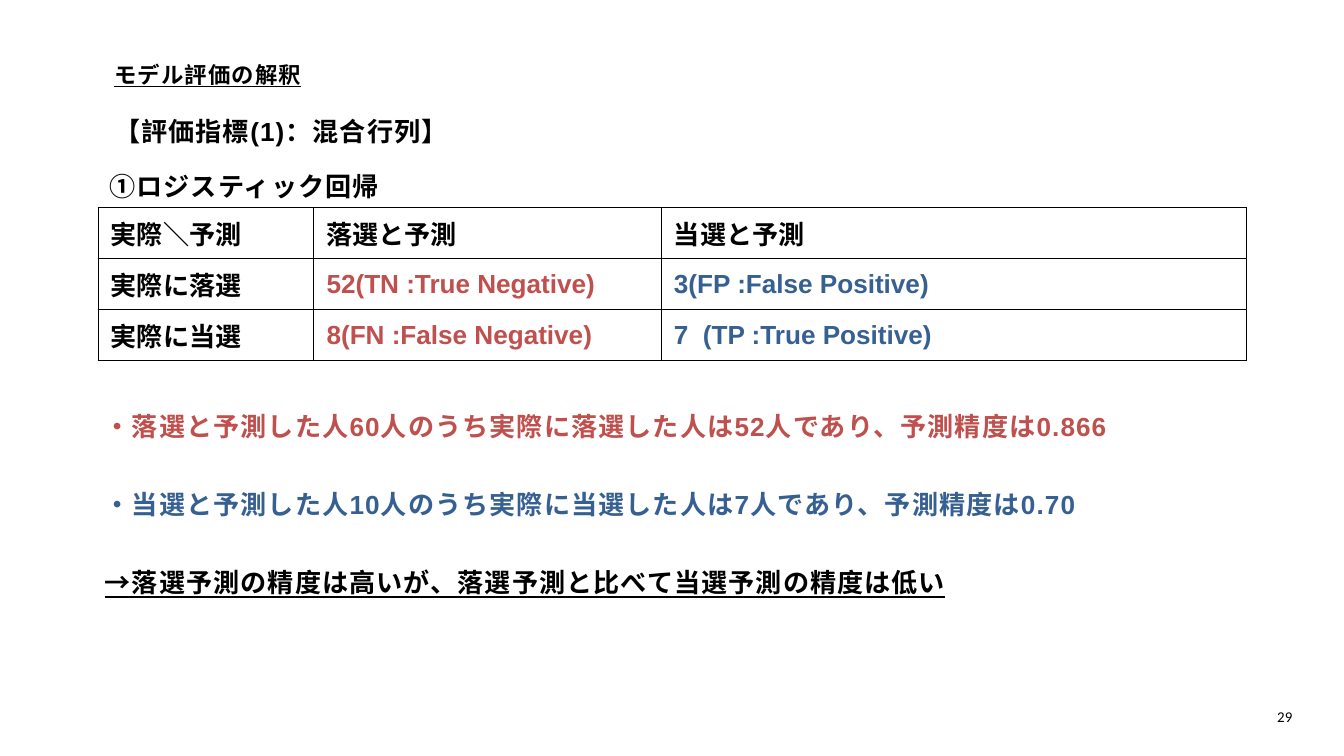
"""Build the slide that interprets the confusion matrix of a logistic regression."""
from dataclasses import dataclass

from lxml.etree import SubElement
from pptx import Presentation
from pptx.dml.color import RGBColor
from pptx.enum.text import MSO_ANCHOR, MSO_AUTO_SIZE, PP_ALIGN
from pptx.oxml.ns import qn
from pptx.slide import Slide
from pptx.util import Inches, Length, Pt


@dataclass(frozen=True)
class Theme:
    """Colours, fonts and type sizes of the slide."""

    black: str = "000000"
    red: str = "C0504D"
    blue: str = "376092"
    font: str = "Arial"
    number_font: str = "Calibri"
    heading: Length = Pt(24)
    body: Length = Pt(28)
    number: Length = Pt(16)
    border: Length = Pt(1)
    spacing: int = 120


THEME = Theme()


@dataclass(frozen=True)
class Line:
    """One paragraph and its look."""

    text: str
    color: str = THEME.black
    size: Length = THEME.body
    font: str = THEME.font
    bold: bool = True
    underline: bool = False
    tracking: int = THEME.spacing
    indent: float = 0.28
    leading: float | Length | None = 2.5
    align: PP_ALIGN = PP_ALIGN.LEFT


@dataclass(frozen=True)
class TextBlock:
    """A text box with its place in inches."""

    left: float
    top: float
    width: float
    height: float
    lines: tuple[Line, ...]
    inset: tuple[float, float] = (0, 0)
    anchor: MSO_ANCHOR = MSO_ANCHOR.TOP
    auto_size: MSO_AUTO_SIZE = MSO_AUTO_SIZE.SHAPE_TO_FIT_TEXT


def cell_line(text: str, color: str = THEME.black) -> Line:
    """Return a line in the style of the table."""
    return Line(text, color, tracking=0, indent=0, leading=None)


BLOCKS = (
    TextBlock(1.7, 0.77, 11.6, 0.48, (
        Line("モデル評価の解釈", size=THEME.heading, underline=True, indent=0, leading=Pt(38.4)),
    )),
    TextBlock(1.42, 1.01, 18.34, 0.95, (Line("【評価指標(1)：混合行列】"),)),
    TextBlock(1.25, 1.79, 10, 1.05, (Line("①ロジスティック回帰"),), inset=(0.1, 0.05)),
    TextBlock(1.28, 5.4, 18.34, 3.31, (
        Line("・落選と予測した人60人のうち実際に落選した人は52人であり、予測精度は0.866", THEME.red),
        Line("・当選と予測した人10人のうち実際に当選した人は7人であり、予測精度は0.70", THEME.blue),
        Line("→落選予測の精度は高いが、落選予測と比べて当選予測の精度は低い", underline=True),
    )),
    TextBlock(17, 10.46, 2.33, 0.4, (
        Line("29", size=THEME.number, font=THEME.number_font, bold=False, tracking=0,
             indent=0, leading=None, align=PP_ALIGN.RIGHT),
    ), inset=(0.1, 0.05), anchor=MSO_ANCHOR.MIDDLE, auto_size=MSO_AUTO_SIZE.NONE),
)

COLUMN_WIDTHS = (3.21, 5.17, 8.71)
ROW_HEIGHT = 0.76
MATRIX = (
    (cell_line("実際＼予測"), cell_line("落選と予測"), cell_line("当選と予測")),
    (cell_line("実際に落選"), cell_line("52(TN :True Negative)", THEME.red),
     cell_line("3(FP :False Positive)", THEME.blue)),
    (cell_line("実際に当選"), cell_line("8(FN :False Negative)", THEME.red),
     cell_line("7  (TP :True Positive)", THEME.blue)),
)


def write_line(paragraph, line: Line) -> None:
    """Fill a paragraph with a line and style it."""
    paragraph.text = line.text
    paragraph.alignment = line.align
    paragraph.line_spacing = line.leading
    properties = paragraph._p.get_or_add_pPr()
    properties.set("marL", str(Inches(line.indent)))
    properties.set("indent", "0")
    font = paragraph.font
    font.name, font.size = line.font, line.size
    font.bold, font.underline = line.bold, line.underline
    font.color.rgb = RGBColor.from_string(line.color)
    for run in paragraph.runs:
        run._r.get_or_add_rPr().set("spc", str(line.tracking))


def add_block(page: Slide, block: TextBlock) -> None:
    """Add a text box with its paragraphs."""
    place = (block.left, block.top, block.width, block.height)
    frame = page.shapes.add_textbox(*map(Inches, place)).text_frame
    frame.word_wrap = True
    frame.auto_size = block.auto_size
    frame.vertical_anchor = block.anchor
    frame.margin_left = frame.margin_right = Inches(block.inset[0])
    frame.margin_top = frame.margin_bottom = Inches(block.inset[1])
    for index, line in enumerate(block.lines):
        write_line(frame.add_paragraph() if index else frame.paragraphs[0], line)


def add_borders(cell) -> None:
    """Draw all four borders of a table cell."""
    properties = cell._tc.get_or_add_tcPr()
    for position, side in enumerate(("lnL", "lnR", "lnT", "lnB")):
        border = SubElement(properties, qn(f"a:{side}"), w=str(THEME.border))
        fill = SubElement(border, qn("a:solidFill"))
        SubElement(fill, qn("a:srgbClr"), val=THEME.black)
        properties.insert(position, border)


def add_matrix(page: Slide, left: float, top: float) -> None:
    """Add the confusion matrix as a table."""
    rows, columns = len(MATRIX), len(COLUMN_WIDTHS)
    place = (left, top, sum(COLUMN_WIDTHS), ROW_HEIGHT * rows)
    table = page.shapes.add_table(rows, columns, *map(Inches, place)).table
    table.first_row = table.horz_banding = False
    for column, width in zip(table.columns, COLUMN_WIDTHS):
        column.width = Inches(width)
    for row, lines in zip(table.rows, MATRIX):
        row.height = Inches(ROW_HEIGHT)
        for cell, line in zip(row.cells, lines):
            cell.fill.background()
            cell.vertical_anchor = MSO_ANCHOR.MIDDLE
            cell.margin_left = cell.margin_right = Inches(0.19)
            cell.margin_top = cell.margin_bottom = Inches(0.09)
            write_line(cell.text_frame.paragraphs[0], line)
            add_borders(cell)


def main() -> None:
    """Build and save the deck."""
    deck = Presentation()
    deck.slide_width, deck.slide_height = Inches(20), Inches(11.25)
    page = deck.slides.add_slide(deck.slide_layouts[6])
    add_matrix(page, 1.46, 3.09)
    for block in BLOCKS:
        add_block(page, block)
    deck.save("out.pptx")


if __name__ == "__main__":
    main()
